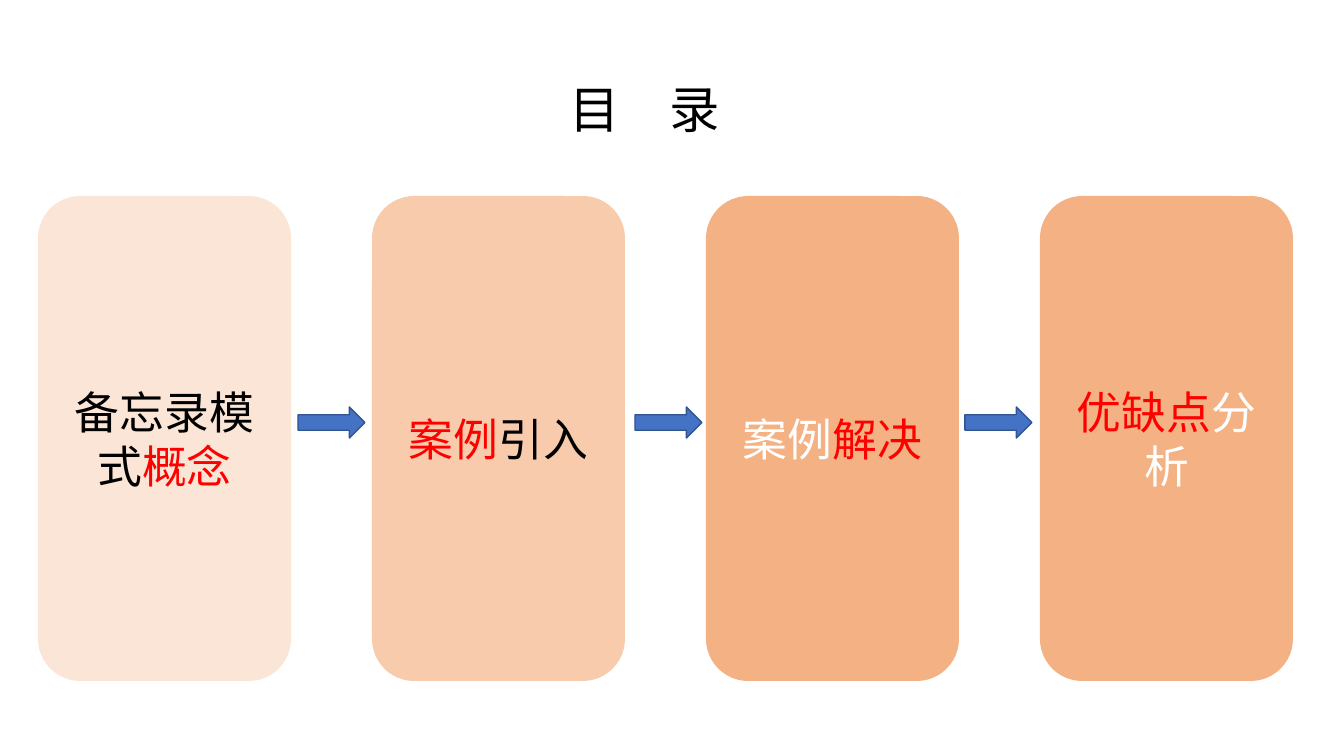
from lxml.etree import SubElement
from pptx import Presentation
from pptx.dml.color import RGBColor
from pptx.enum.shapes import MSO_SHAPE
from pptx.enum.text import MSO_ANCHOR, MSO_AUTO_SIZE, PP_ALIGN
from pptx.oxml.ns import qn
from pptx.util import Emu, Pt

PX = 914400 / 100.8
FONT = "Noto Sans CJK SC"
BLACK, RED, WHITE = "000000", "FF0000", "FFFFFF"
CARDS = [
    ("FBE5D6", [("备忘录模式", BLACK), ("概念", RED)]),
    ("F8CBAD", [("案例", RED), ("引入", BLACK)]),
    ("F4B183", [("案例", WHITE), ("解决", RED)]),
    ("F4B183", [("优缺点", RED), ("分析", WHITE)]),
]
CARD_LEFT, CARD_TOP, CARD_WIDTH, CARD_HEIGHT, CARD_PITCH = 38, 196, 253, 485, 334
ARROW_LEFTS = [298, 635, 965]


def px(length):
    return Emu(round(length * PX))


def color(value):
    return RGBColor.from_string(value)


def style_paragraph(paragraph, size, alignment):
    paragraph.alignment = alignment
    paragraph.line_spacing = 1.0
    paragraph.font.size = Pt(size)
    paragraph.font.name = FONT
    SubElement(paragraph.font._element, qn("a:ea"), typeface=FONT)


def add_runs(paragraph, parts):
    for text, value in parts:
        run = paragraph.add_run()
        run.text = text
        run.font.color.rgb = color(value)


def add_filled_shape(slide, kind, left, top, width, height, fill):
    shape = slide.shapes.add_shape(kind, px(left), px(top), px(width), px(height))
    shape.shadow.inherit = False
    shape.fill.solid()
    shape.fill.fore_color.rgb = color(fill)
    return shape


def place_title(slide, text):
    title = slide.shapes.title
    title.left, title.top, title.width, title.height = px(559), px(73), px(224), px(72)
    frame = title.text_frame
    frame.auto_size = MSO_AUTO_SIZE.NONE
    frame.vertical_anchor = MSO_ANCHOR.TOP
    paragraph = frame.paragraphs[0]
    style_paragraph(paragraph, 36, PP_ALIGN.LEFT)
    add_runs(paragraph, [(text, BLACK)])


def add_card(slide, left, fill, parts):
    card = add_filled_shape(slide, MSO_SHAPE.ROUNDED_RECTANGLE, left, CARD_TOP,
                            CARD_WIDTH, CARD_HEIGHT, fill)
    card.line.fill.background()
    frame = card.text_frame
    frame.word_wrap = True
    frame.vertical_anchor = MSO_ANCHOR.MIDDLE
    paragraph = frame.paragraphs[0]
    style_paragraph(paragraph, 32, PP_ALIGN.CENTER)
    add_runs(paragraph, parts)


def add_arrow(slide, left):
    arrow = add_filled_shape(slide, MSO_SHAPE.RIGHT_ARROW, left, 407, 67, 31, "4472C4")
    arrow.line.color.rgb = color("325491")
    arrow.line.width = Pt(1)


def main():
    presentation = Presentation()
    presentation.slide_width, presentation.slide_height = px(1344), px(756)
    slide = presentation.slides.add_slide(presentation.slide_layouts[5])
    place_title(slide, "目　录")
    for index, (fill, parts) in enumerate(CARDS):
        add_card(slide, CARD_LEFT + index * CARD_PITCH, fill, parts)
    for left in ARROW_LEFTS:
        add_arrow(slide, left)
    presentation.save("out.pptx")


if __name__ == "__main__":
    main()
